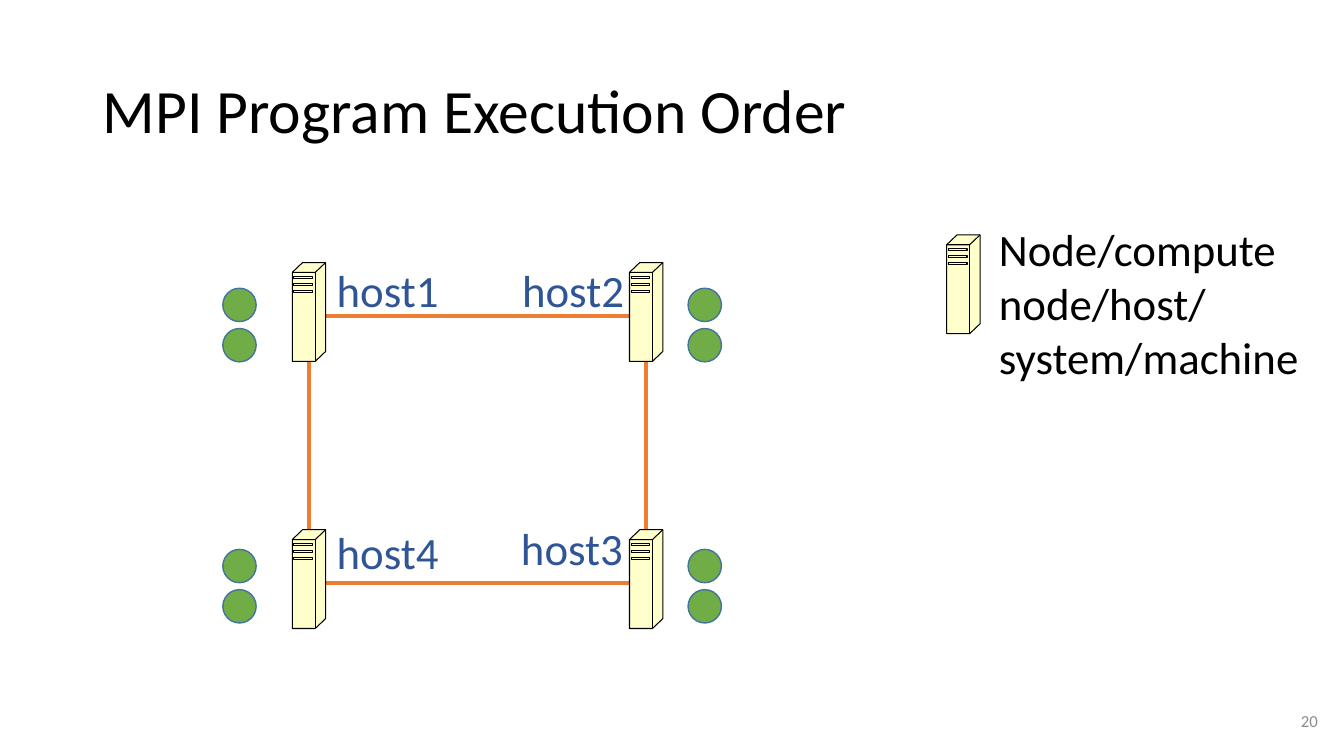
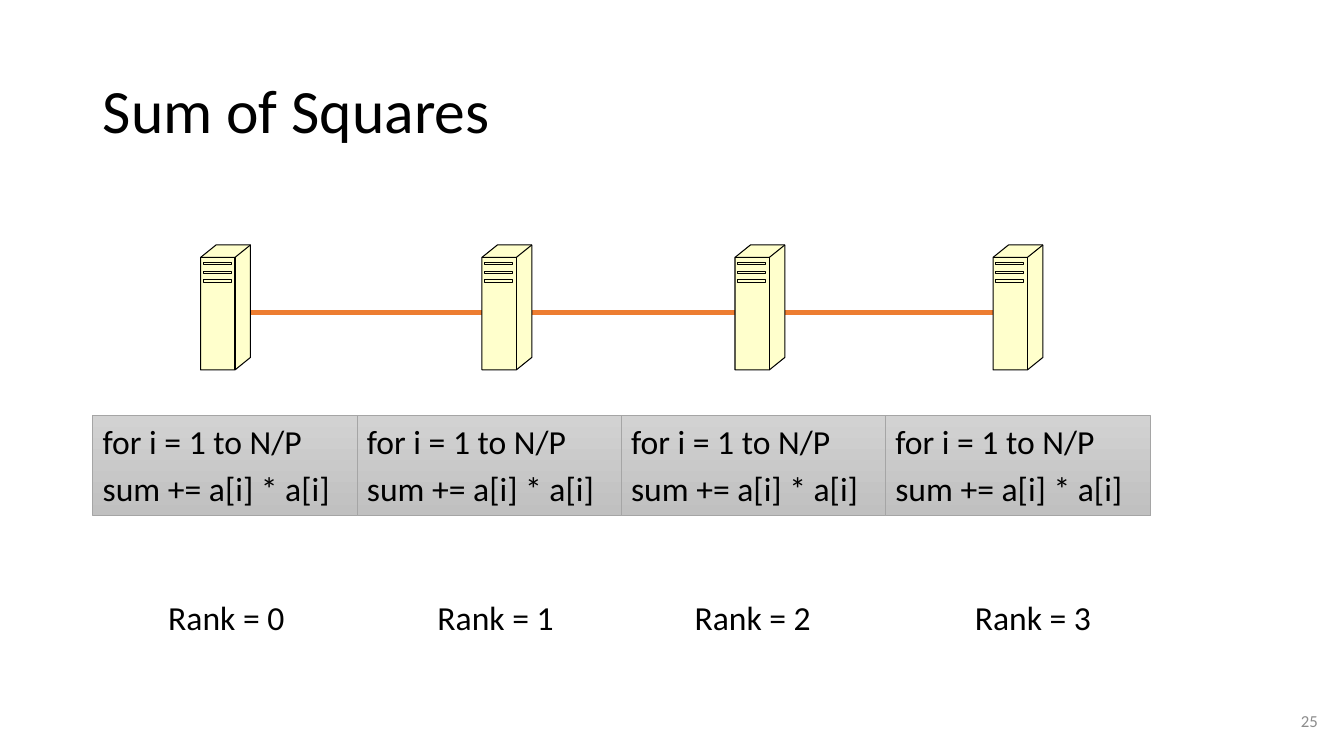
from lxml import etree
from pptx import Presentation
from pptx.dml.color import RGBColor
from pptx.enum.shapes import MSO_CONNECTOR, MSO_SHAPE
from pptx.enum.text import MSO_ANCHOR, PP_ALIGN
from pptx.oxml.ns import qn
from pptx.util import Inches, Pt

STRAIGHT = MSO_CONNECTOR.STRAIGHT
OVAL, RECTANGLE = MSO_SHAPE.OVAL, MSO_SHAPE.RECTANGLE
LEFT, RIGHT = PP_ALIGN.LEFT, PP_ALIGN.RIGHT
TOP, MIDDLE = MSO_ANCHOR.TOP, MSO_ANCHOR.MIDDLE

WIDTH, HEIGHT = Inches(13.33), Inches(7.5)
TITLE_ONLY = 5
FONT = "Calibri"
COLOURS = {
    "text": "000000",
    "label": "2F5597",
    "number": "8C8C8C",
    "link": "ED7D31",
    "node": "FFFFCC",
    "node line": "000000",
    "process": "70AD47",
    "process line": "43739E",
    "code top": "D2D2D2",
    "code bottom": "C0C0C0",
    "code line": "A5A5A5",
}

# All places and sizes are percentages of the slide's width and height.
TITLE_AREA = (6.9, 5.33, 86.27, 19.33)
NUMBER_AREA = (70.67, 92.67, 28.13, 5.33)
SMALL_NODE = (2.48, 13.07)
LARGE_NODE = (3.71, 16.53)
LINK_HEIGHT = 0.54

# Server outlines as shares of the server's own width and height.
SERVER_BODY = [(0, 0.1), (0.31, 0), (1, 0), (1, 0.9), (0.69, 1), (0, 1), (0, 0.1)]
SERVER_EDGES = [[(0, 0.1), (0.69, 0.1), (1, 0)], [(0.69, 0.1), (0.69, 1)]]
SLOT_LEFT, SLOT_RIGHT, SLOT_HEIGHT = 0.05, 0.61, 0.02
SLOT_TOPS = (0.14, 0.21, 0.28)


def colour(name):
    return RGBColor.from_string(COLOURS[name])


def across(share):
    return round(WIDTH * share / 100)


def down(share):
    return round(HEIGHT * share / 100)


def place(area):
    left, top, width, height = area
    return across(left), down(top), across(width), down(height)


def set_line(shape, name, points):
    shape.line.color.rgb = colour(name)
    shape.line.width = Pt(points)


def write(shape, text, size, name="text", align=LEFT, anchor=TOP):
    frame = shape.text_frame
    frame.text = text
    frame.word_wrap = True
    frame.vertical_anchor = anchor
    for para in frame.paragraphs:
        para.alignment = align
        for span in para.runs:
            span.font.name = FONT
            span.font.size = Pt(size)
            span.font.color.rgb = colour(name)
    return frame


def add_text(page, area, text, size, name="text", **layout):
    write(page.shapes.add_textbox(*place(area)), text, size, name, **layout)


def add_page(deck, title, number):
    page = deck.slides.add_slide(deck.slide_layouts[TITLE_ONLY])
    heading = page.shapes.title
    heading.left, heading.top, heading.width, heading.height = place(TITLE_AREA)
    frame = write(heading, title, 44, anchor=MIDDLE)
    frame.paragraphs[0].line_spacing = 0.9
    add_text(page, NUMBER_AREA, str(number), 12, "number", align=RIGHT, anchor=MIDDLE)
    return page


def add_link(page, start, end):
    link = page.shapes.add_connector(
        STRAIGHT, across(start[0]), down(start[1]), across(end[0]), down(end[1]))
    set_line(link, "link", 3)
    etree.SubElement(link._element.spPr, qn("a:effectLst"))


def add_outline(page, contours):
    builder = page.shapes.build_freeform(*contours[0][0])
    for index, contour in enumerate(contours):
        if index:
            builder.move_to(*contour[0])
        builder.add_line_segments(contour[1:], close=False)
    outline = builder.convert_to_shape()
    outline.shadow.inherit = False
    set_line(outline, "node line", 0.75)
    return outline


def add_node(page, left, top, size):
    """Draw a server: a filled body, then its edges and drive slots."""
    width, height = size

    def fit(contour):
        return [(across(left + x * width), down(top + y * height)) for x, y in contour]

    body = add_outline(page, [fit(SERVER_BODY)])
    body.fill.solid()
    body.fill.fore_color.rgb = colour("node")
    slots = [
        [(SLOT_LEFT, y), (SLOT_RIGHT, y), (SLOT_RIGHT, y + SLOT_HEIGHT),
         (SLOT_LEFT, y + SLOT_HEIGHT), (SLOT_LEFT, y)]
        for y in SLOT_TOPS
    ]
    details = add_outline(page, [fit(contour) for contour in SERVER_EDGES + slots])
    details.fill.background()


def add_process(page, left, top):
    diameter = across(SMALL_NODE[0])
    dot = page.shapes.add_shape(OVAL, across(left), down(top), diameter, diameter)
    dot.shadow.inherit = False
    dot.fill.solid()
    dot.fill.fore_color.rgb = colour("process")
    set_line(dot, "process line", 1)


def add_code(page, area, text):
    box = page.shapes.add_shape(RECTANGLE, *place(area))
    box.shadow.inherit = False
    box.fill.gradient()
    box.fill.gradient_angle = 270
    for stop, name in zip(box.fill.gradient_stops, ("code top", "code bottom")):
        stop.color.rgb = colour(name)
    set_line(box, "code line", 0.5)
    for para in write(box, text, 24).paragraphs:
        para.space_before = Pt(4.8)


def build_execution_order(deck):
    page = add_page(deck, "MPI Program Execution Order", 20)
    columns, rows = (21.75, 46.84), (34.73, 70.07)
    width, height = SMALL_NODE
    for left in columns:
        middle = left + width / 2
        add_link(page, (middle, rows[0]), (middle, rows[1] + height))
    for top in rows:
        level = top + height * LINK_HEIGHT
        add_link(page, (columns[0], level), (columns[1] + width, level))
        for left in columns:
            add_node(page, left, top, SMALL_NODE)

    process_step = 5.33
    for left in (16.58, 51.2):
        for top in (38.13, 72.67):
            add_process(page, left, top)
            add_process(page, left, top + process_step)

    hosts = [("host1", 24.31, 34.13), ("host2", 38.11, 34.13),
             ("host3", 38.03, 68.27), ("host4", 24.31, 68.8)]
    for name, left, top in hosts:
        add_text(page, (left, top, 10, 8.53), name, 32, "label")

    add_node(page, 70.44, 31.07, SMALL_NODE)
    add_text(page, (73.59, 28.67, 24.16, 22.93),
             "Node/compute node/host/\vsystem/machine", 32)


def build_sum_of_squares(deck):
    page = add_page(deck, "Sum of Squares", 25)
    node_lefts, node_top = (14.93, 35.86, 54.69, 73.89), 32.4
    rank_lefts = (11.78, 31.81, 50.94, 71.79)
    code_left, code_step = 6.9, 19.66
    width, height = LARGE_NODE
    level = node_top + height * LINK_HEIGHT
    add_link(page, (node_lefts[0], level), (node_lefts[-1] + width, level))
    for rank, (node_left, rank_left) in enumerate(zip(node_lefts, rank_lefts)):
        add_node(page, node_left, node_top, LARGE_NODE)
        add_code(page, (code_left + rank * code_step, 55, 19.73, 13.2),
                 "for i = 1 to N/P\nsum += a[i] * a[i]")
        add_text(page, (rank_left, 78.27, 12, 6.67), f"Rank = {rank}", 24)


def main():
    deck = Presentation()
    deck.slide_width, deck.slide_height = WIDTH, HEIGHT
    build_execution_order(deck)
    build_sum_of_squares(deck)
    deck.save("out.pptx")


if __name__ == "__main__":
    main()
